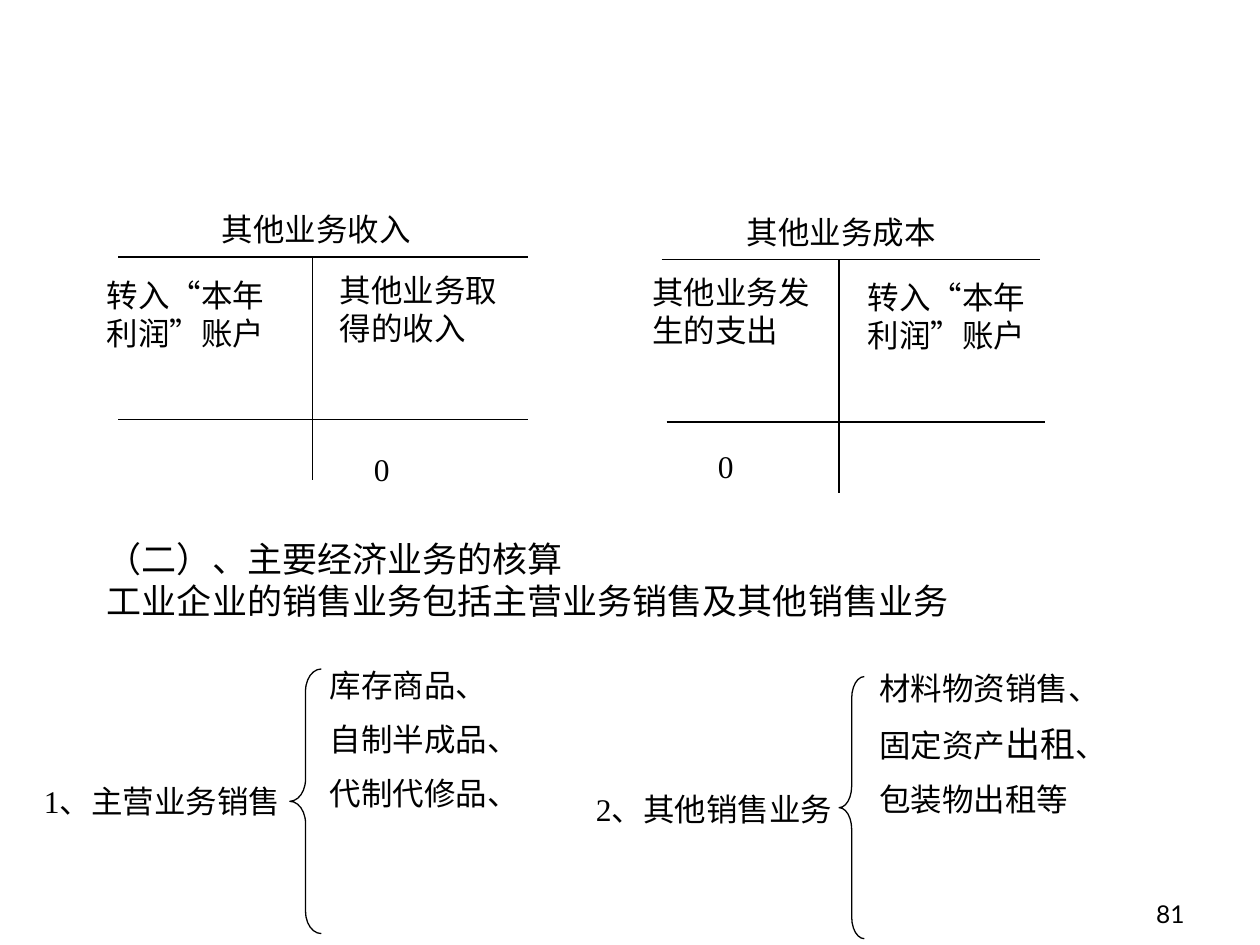
from pptx import Presentation
from pptx.dml.color import RGBColor
from pptx.enum.shapes import MSO_CONNECTOR, MSO_SHAPE
from pptx.enum.text import MSO_ANCHOR as ANCHOR, PP_ALIGN as ALIGN
from pptx.util import Emu, Pt
from lxml.etree import SubElement
from pptx.oxml.ns import qn

PX = 9144  # EMU per px, 100 px to the inch
BLACK = "000000"
SERIF, SANS = "Times New Roman", "Lato"

# Each T-account: rules (x1, y1, x2, y2) and texts (left, top, width, height, text)
ACCOUNTS = [
    {
        "rules": [(94, 333, 419, 333), (94, 204, 419, 204), (248, 204, 248, 381)],
        "texts": [
            (166, 162, 275, 40, "其他业务收入"),
            (75, 214, 158, 70, "转入“本年利润”账户"),
            (260, 210, 167, 70, "其他业务取得的收入"),
            (287, 352, 150, 40, "0"),
        ],
    },
    {
        "rules": [(525, 206, 825, 206), (529, 335, 829, 335), (666, 206, 666, 391)],
        "texts": [
            (583, 164, 317, 40, "其他业务成本"),
            (508, 212, 154, 70, "其他业务发生的支出"),
            (679, 216, 150, 70, "转入“本年利润”账户"),
            (560, 350, 83, 40, "0"),
        ],
    },
]
SUMMARY = ["（二）、主要经济业务的核算", "工业企业的销售业务包括主营业务销售及其他销售业务"]

# A paragraph is a string, or a list of (text, size, font) runs
SALES = [
    {
        "label": (25, 616, 229, 40, "1、主营业务销售"),
        "brace": (230, 531, 25, 210), "curl": 0.7,
        "box": (252, 524, 244, 176),
        "items": ["库存商品、", "自制半成品、", "代制代修品、"],
    },
    {
        "label": (463, 622, 215, 40, "2、其他销售业务"),
        "brace": (666, 537, 20, 208), "curl": 0.86,
        "box": (688, 526, 285, 180),
        "items": [
            "材料物资销售、",
            [("固定资产", 18, SERIF), ("出租", 20, SANS), ("、", 18, SERIF)],
            "包装物出租等",
        ],
    },
]
PAGE_NUMBER = "81"


def px(*lengths):
    return [Emu(n * PX) for n in lengths]


def rgb(color):
    return RGBColor.from_string(color)


def set_font(font, size, name):
    font.size, font.name = Pt(size), name
    font.color.rgb = rgb(BLACK)


def add_text(slide, box, paragraphs, size=18, font=SERIF, gap=0,
             align=ALIGN.LEFT, anchor=ANCHOR.TOP):
    tf = slide.shapes.add_textbox(*px(*box)).text_frame
    tf.word_wrap = True
    tf.vertical_anchor = anchor
    for i, content in enumerate(paragraphs):
        p = tf.add_paragraph() if i else tf.paragraphs[0]
        p.alignment = align
        if i:
            p.space_before = Pt(gap)
        if isinstance(content, str):
            p.text = content
            set_font(p.font, size, font)
            continue
        for text, run_size, run_font in content:
            r = p.add_run()
            r.text = text
            set_font(r.font, run_size, run_font)


def style_line(line):
    line.color.rgb = rgb(BLACK)
    line.width = Pt(0.75)


def add_rule(slide, ends):
    rule = slide.shapes.add_connector(MSO_CONNECTOR.STRAIGHT, *px(*ends))
    style_line(rule.line)
    SubElement(rule._element.spPr, qn("a:effectLst"))


def add_brace(slide, box, curl):
    sp = slide.shapes.add_shape(MSO_SHAPE.LEFT_BRACE, *px(*box))
    sp.adjustments[0] = curl
    sp.shadow.inherit = False
    sp.fill.background()
    style_line(sp.line)


def main():
    prs = Presentation()
    prs.slide_width, prs.slide_height = px(1000, 750)
    slide = prs.slides.add_slide(prs.slide_layouts[6])

    add_text(slide, (742, 692, 208, 50), [PAGE_NUMBER], 14, SANS,
             align=ALIGN.RIGHT, anchor=ANCHOR.BOTTOM)
    for account in ACCOUNTS:
        for ends in account["rules"]:
            add_rule(slide, ends)
        for *box, text in account["texts"]:
            add_text(slide, box, [text])

    add_text(slide, (75, 422, 795, 127), SUMMARY, 20, SANS)
    for group in SALES:
        *box, label = group["label"]
        add_text(slide, box, [label])
        add_brace(slide, group["brace"], group["curl"])
        add_text(slide, group["box"], group["items"], gap=9)

    prs.save("out.pptx")


if __name__ == "__main__":
    main()
